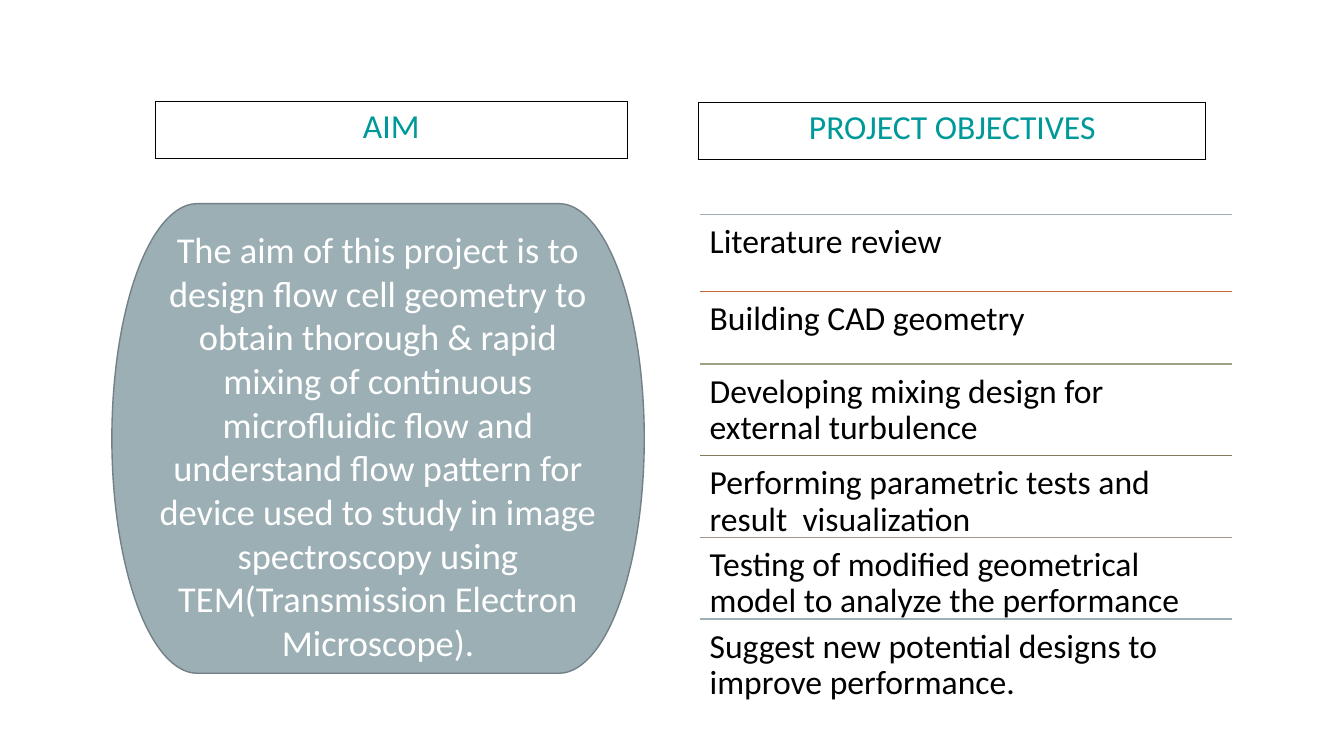
from lxml import etree
from pptx import Presentation
from pptx.dml.color import RGBColor
from pptx.enum.shapes import MSO_CONNECTOR, MSO_SHAPE
from pptx.enum.text import MSO_ANCHOR, PP_ALIGN
from pptx.oxml.ns import qn
from pptx.util import Inches, Pt

STRAIGHT = MSO_CONNECTOR.STRAIGHT
TERMINATOR = MSO_SHAPE.FLOWCHART_TERMINATOR
LEFT, CENTER = PP_ALIGN.LEFT, PP_ALIGN.CENTER
TOP, MIDDLE = MSO_ANCHOR.TOP, MSO_ANCHOR.MIDDLE

BLACK = RGBColor(0x00, 0x00, 0x00)
WHITE = RGBColor(0xFF, 0xFF, 0xFF)
TEAL = RGBColor(0x00, 0x99, 0x99)
SLATE = RGBColor(0x9B, 0xAF, 0xB5)
DARK_SLATE = RGBColor(0x73, 0x81, 0x86)
ORANGE = RGBColor(0xC9, 0x67, 0x31)
SAGE = RGBColor(0x9C, 0xA3, 0x83)
BROWN = RGBColor(0x87, 0x79, 0x5D)
TAUPE = RGBColor(0xA0, 0x98, 0x8C)

# Content: objectives are (text, row height, rule colour)
OBJECTIVES = [
    ("Literature review", 0.76, SLATE),
    ("Building CAD geometry", 0.72, ORANGE),
    ("Developing mixing design for external turbulence", 0.91, SAGE),
    ("Performing parametric tests and result  visualization", 0.81, BROWN),
    ("Testing of modified geometrical model to analyze the performance", 0.81, TAUPE),
    ("Suggest new potential designs to improve performance.", 0.81, SLATE),
]
# Headings are (text, left, top, width)
HEADINGS = [
    ("PROJECT OBJECTIVES", 6.93, 1.02, 5.03),
    ("AIM", 1.54, 1.01, 4.68),
]
AIM = (
    "The aim of this project is to design flow cell geometry to obtain thorough "
    "& rapid mixing of continuous microfluidic flow and understand flow pattern "
    "for device used to study in image spectroscopy using "
    "TEM(Transmission Electron Microscope)."
)

COLUMN_WIDTH = 5.28
OBJECTIVES_LEFT, OBJECTIVES_TOP = 6.94, 2.13
HEADING_HEIGHT = 0.56


def write_text(frame, text, size=24, color=BLACK, align=LEFT, spacing=1.0):
    paragraph = frame.paragraphs[0]
    paragraph.alignment = align
    paragraph.line_spacing = spacing
    run = paragraph.add_run()
    run.text = text
    run.font.name = "Calibri"
    run.font.size = Pt(size)
    run.font.bold = False
    run.font.color.rgb = color


def add_rule(slide, left, top, width, color):
    rule = slide.shapes.add_connector(
        STRAIGHT, Inches(left), Inches(top), Inches(left + width), Inches(top))
    rule.line.color.rgb = color
    rule.line.width = Pt(1)
    etree.SubElement(rule._element.spPr, qn("a:effectLst"))


def add_objective(slide, text, top, height):
    box = slide.shapes.add_textbox(
        Inches(OBJECTIVES_LEFT), Inches(top), Inches(COLUMN_WIDTH), Inches(height))
    frame = box.text_frame
    frame.word_wrap = True
    frame.vertical_anchor = TOP
    frame.margin_left = frame.margin_right = Inches(0.1)
    frame.margin_top = frame.margin_bottom = Inches(0.1)
    write_text(frame, text, spacing=0.9)


def add_heading(slide, text, left, top, width):
    table = slide.shapes.add_table(
        1, 1, Inches(left), Inches(top), Inches(width), Inches(HEADING_HEIGHT)).table
    table.first_row = table.horz_banding = False
    cell = table.cell(0, 0)
    write_text(cell.text_frame, text, color=TEAL, align=CENTER)
    # Cell borders come before the fill
    properties = cell._tc.get_or_add_tcPr()
    for side in ("lnL", "lnR", "lnT", "lnB"):
        border = etree.SubElement(properties, qn(f"a:{side}"), w=str(Pt(1)))
        fill = etree.SubElement(border, qn("a:solidFill"))
        etree.SubElement(fill, qn("a:srgbClr"), val=str(BLACK))
    cell.fill.background()


def add_aim(slide):
    shape = slide.shapes.add_shape(
        TERMINATOR, Inches(1.11), Inches(2.02), Inches(COLUMN_WIDTH), Inches(4.66))
    shape.shadow.inherit = False
    shape.fill.solid()
    shape.fill.fore_color.rgb = SLATE
    shape.line.color.rgb = DARK_SLATE
    shape.line.width = Pt(1)
    frame = shape.text_frame
    frame.word_wrap = True
    frame.vertical_anchor = MIDDLE
    frame.margin_top, frame.margin_bottom = Inches(0.19), Inches(0.05)
    write_text(frame, AIM, size=26, color=WHITE, align=CENTER)


def main():
    presentation = Presentation()
    presentation.slide_width = Inches(13.33)
    presentation.slide_height = Inches(7.5)
    slide = presentation.slides.add_slide(presentation.slide_layouts[6])

    # Objectives stacked under their rules
    top = OBJECTIVES_TOP
    for text, height, color in OBJECTIVES:
        add_rule(slide, OBJECTIVES_LEFT, top, COLUMN_WIDTH, color)
        add_objective(slide, text, top, height)
        top += height

    # Headings and aim
    for heading in HEADINGS:
        add_heading(slide, *heading)
    add_aim(slide)

    presentation.save("out.pptx")


if __name__ == "__main__":
    main()
